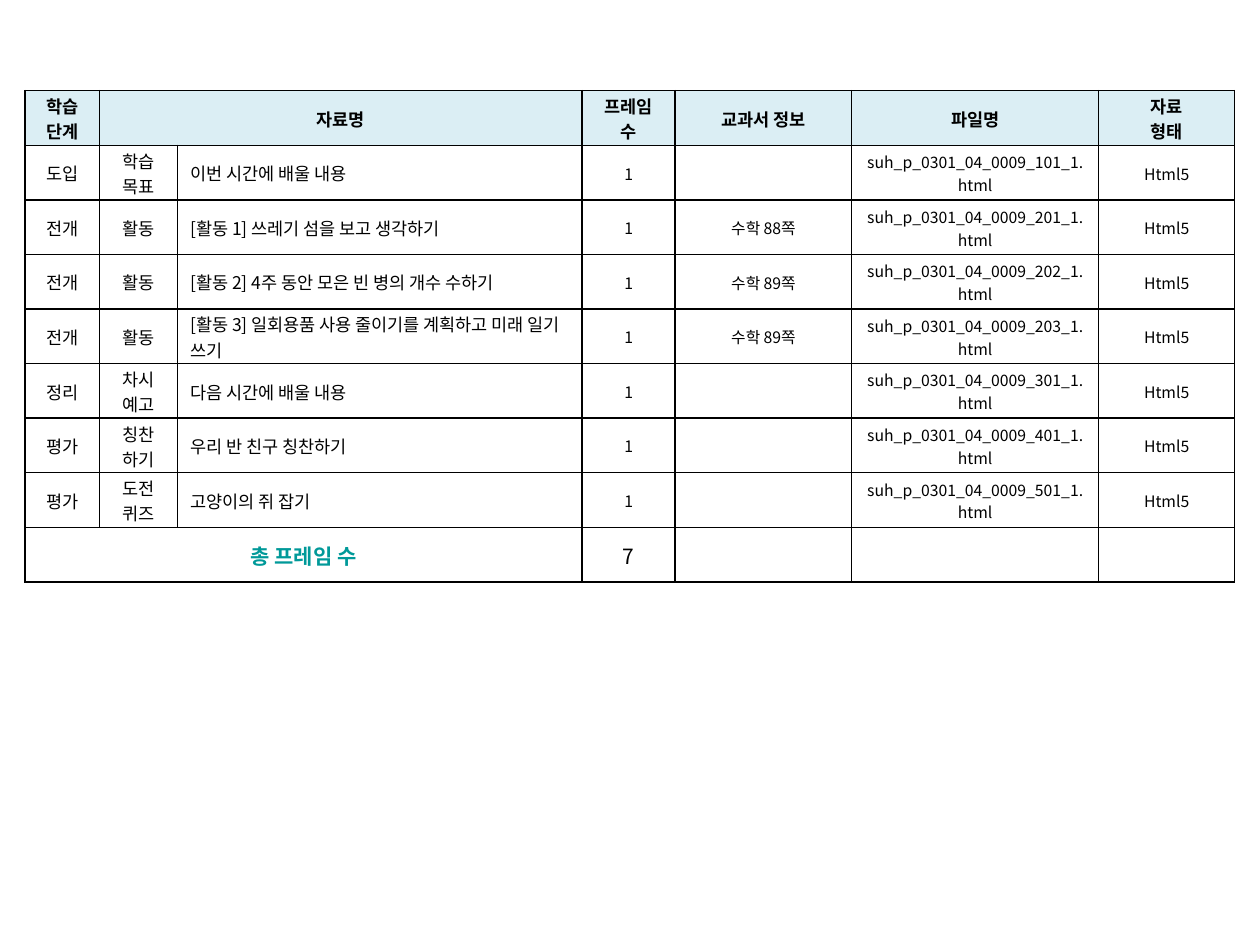
from lxml import etree
from pptx import Presentation, util as u
from pptx.dml.color import RGBColor
from pptx.enum import text
from pptx.oxml.ns import qn

BLACK = RGBColor(0x00, 0x00, 0x00)
TEAL = RGBColor(0x00, 0x99, 0x99)
PALE = RGBColor(0xDB, 0xEE, 0xF4)
FONT = "Noto Sans CJK KR"
MID, LEFT = text.PP_ALIGN.CENTER, text.PP_ALIGN.LEFT

# Column widths as shares of the table's width
COLS = [v / 9.6 for v in (0.59, 0.62, 3.21, 0.74, 1.4, 1.96, 1.08)]
HEAD = ["학습 단계", "자료명", "", "프레임 수", "교과서 정보", "파일명", "자료\n형태"]
# Stage, activity, title, textbook page, file number
STEPS = [
    ("도입", "학습 목표", "이번 시간에 배울 내용", "", 101),
    ("전개", "활동", "[활동 1] 쓰레기 섬을 보고 생각하기", "수학 88쪽", 201),
    ("전개", "활동", "[활동 2] 4주 동안 모은 빈 병의 개수 수하기", "수학 89쪽", 202),
    ("전개", "활동", "[활동 3] 일회용품 사용 줄이기를 계획하고 미래 일기 쓰기",
     "수학 89쪽", 203),
    ("정리", "차시 예고", "다음 시간에 배울 내용", "", 301),
    ("평가", "칭찬\n하기", "우리 반 친구 칭찬하기", "", 401),
    ("평가", "도전\n퀴즈", "고양이의 쥐 잡기", "", 501),
]
TOTAL = ["총 프레임 수", "", "", str(len(STEPS)), "", "", ""]


def write(frame, words, size=10, bold=False, color=BLACK, align=MID):
    """Fill a text frame, one paragraph for each line of words."""
    frame.text = words
    for para in frame.paragraphs:
        para.alignment = align
        for run in para.runs:
            font = run.font
            font.name, font.size, font.bold = FONT, u.Pt(size), bold
            font.color.rgb = color
            east = etree.SubElement(run._r.get_or_add_rPr(), qn("a:ea"))
            east.set("typeface", FONT)


def edge(cell, width=1, color=BLACK):
    """Rule all four sides of a cell."""
    props = cell._tc.get_or_add_tcPr()
    for side in ("lnL", "lnR", "lnT", "lnB"):
        line = etree.SubElement(props, qn("a:" + side), w=str(u.Pt(width)))
        fill = etree.SubElement(line, qn("a:solidFill"))
        etree.SubElement(fill, qn("a:srgbClr"), val=str(color))


class Deck:
    def __init__(self, wide=10, high=7.5):
        self.prs = Presentation()
        self.prs.slide_width = u.Inches(wide)
        self.prs.slide_height = u.Inches(high)
        self.slide = self.prs.slides.add_slide(self.prs.slide_layouts[6])

    def grid(self, left, top, width, height, rows, cols):
        """Add a table; place and size are shares of the slide."""
        wide, high = self.prs.slide_width, self.prs.slide_height
        box = [int(v) for v in (left * wide, top * high, width * wide, height * high)]
        table = self.slide.shapes.add_table(rows, len(cols), *box).table
        for col, share in zip(table.columns, cols):
            col.width = int(box[2] * share)
        for row in table.rows:
            row.height = box[3] // rows
        return table

    def cell(self, table, row, col, words, fill=None, **style):
        cell = table.cell(row, col)
        edge(cell)
        if fill is None:
            cell.fill.background()
        else:
            cell.fill.solid()
            cell.fill.fore_color.rgb = fill
        cell.vertical_anchor = text.MSO_ANCHOR.MIDDLE
        cell.margin_left = cell.margin_right = u.Inches(0.1)
        # Slim margins let two lines fit in a row
        cell.margin_top, cell.margin_bottom = u.Inches(0.02), u.Inches(0.01)
        write(cell.text_frame, words, **style)


def main():
    deck = Deck()
    last = len(STEPS) + 1
    plan = deck.grid(0.02, 0.72 / 7.5, 0.96, 0.52, last + 1, COLS)
    plan.cell(0, 1).merge(plan.cell(0, 2))
    plan.cell(last, 0).merge(plan.cell(last, 2))

    for col, words in enumerate(HEAD):
        deck.cell(plan, 0, col, words, fill=PALE, bold=True)
    for row, (stage, act, title, page, num) in enumerate(STEPS, 1):
        name = f"suh_p_0301_04_0009_{num}_1.html"
        for col, words in enumerate((stage, act, title, "1", page, name, "Html5")):
            deck.cell(plan, row, col, words, size=10 if col < 3 else 9,
                      align=LEFT if col == 2 else MID)
    for col, words in enumerate(TOTAL):
        deck.cell(plan, last, col, words, size=12, bold=col == 0,
                  color=TEAL if col == 0 else BLACK)

    deck.prs.save("out.pptx")


if __name__ == "__main__":
    main()
